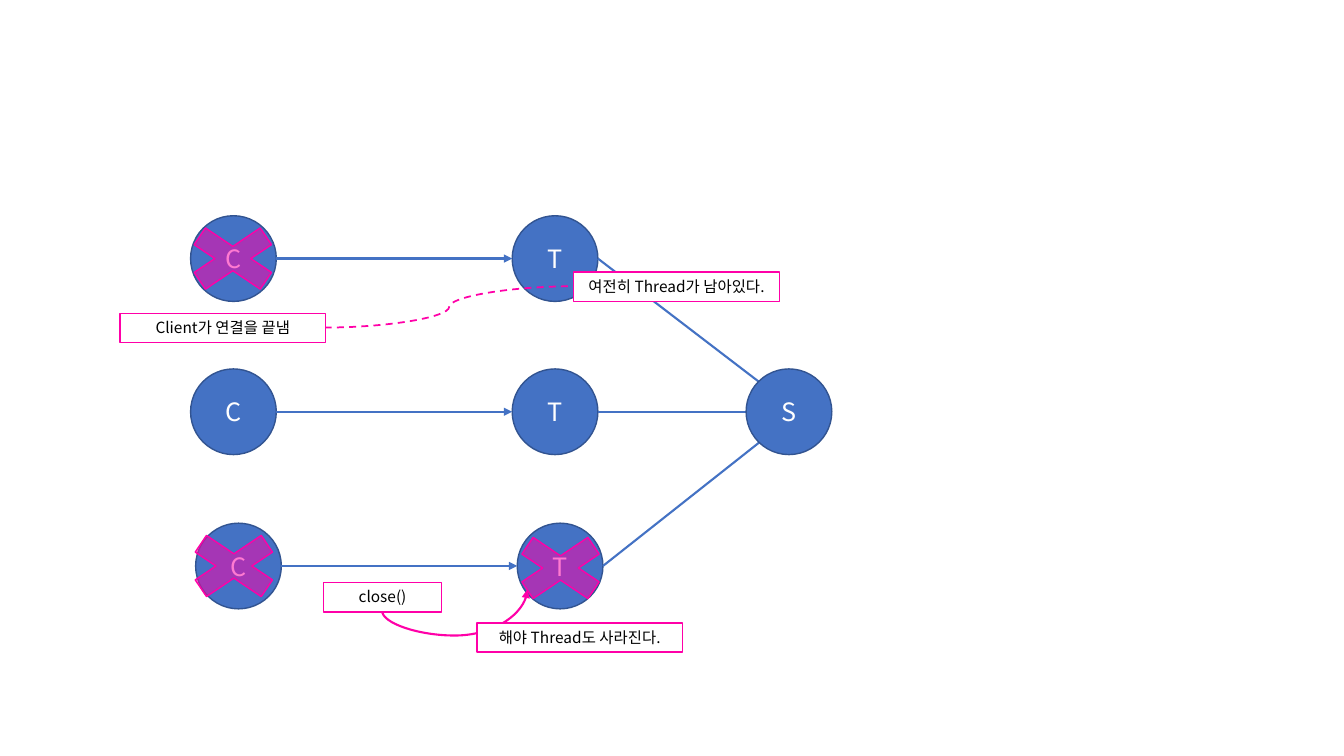
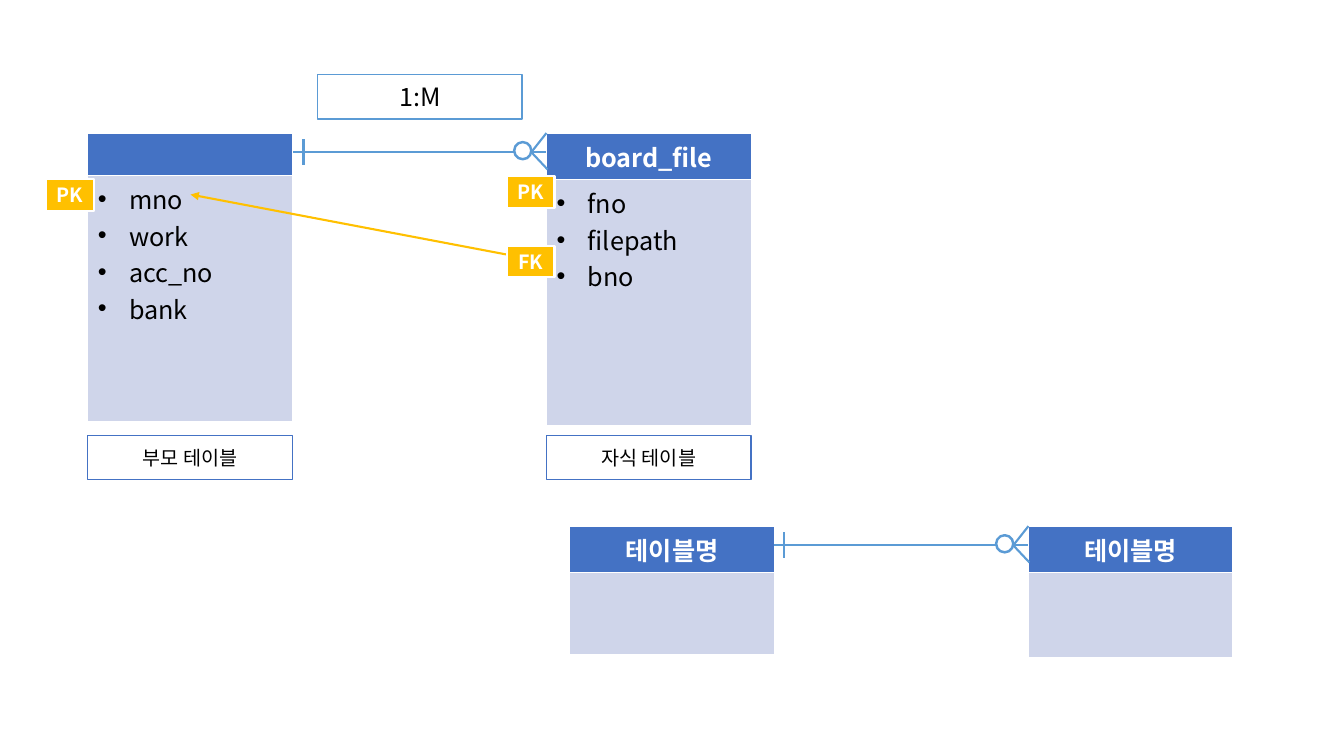
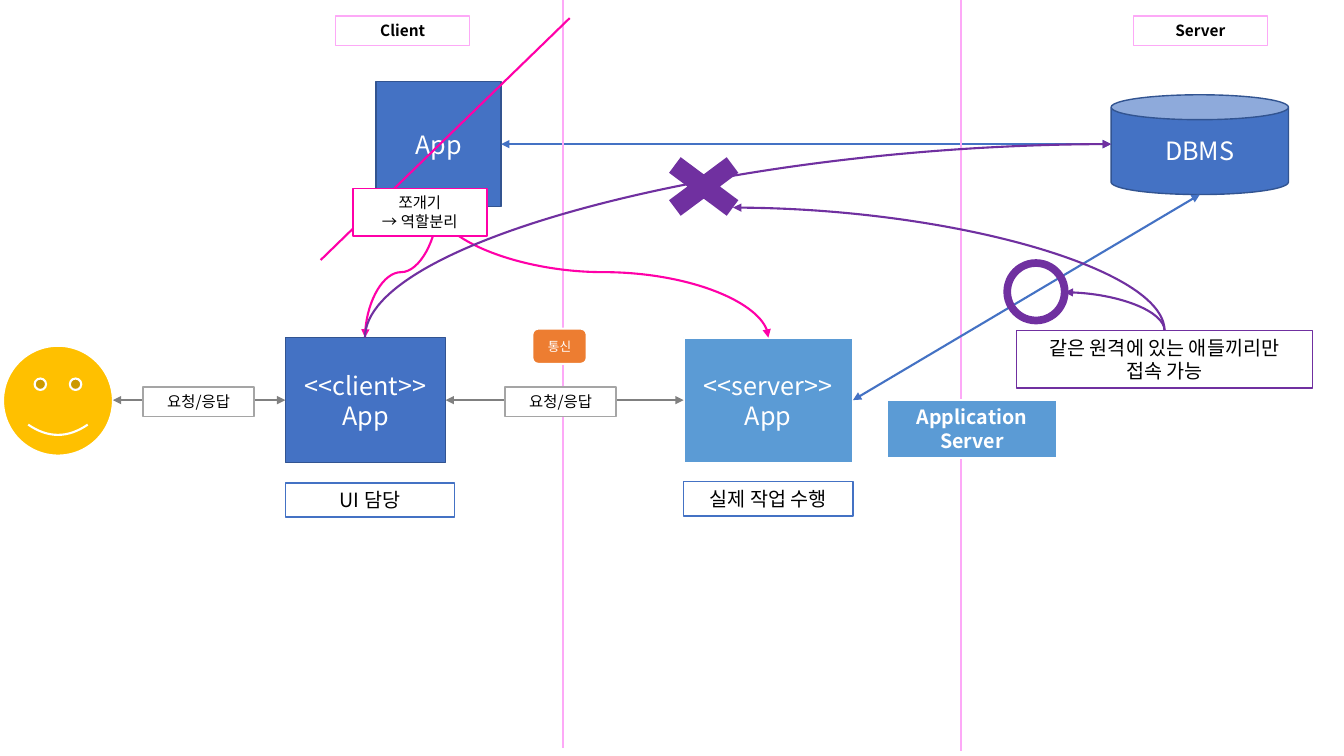
from dataclasses import dataclass
from math import copysign
from typing import Optional

from lxml.etree import SubElement
from pptx import Presentation
from pptx.dml.color import RGBColor
from pptx.enum.dml import MSO_LINE
from pptx.enum.shapes import MSO_CONNECTOR, MSO_SHAPE
from pptx.enum.text import MSO_ANCHOR, MSO_AUTO_SIZE, PP_ALIGN
from pptx.oxml.ns import qn
from pptx.util import Inches, Pt

FONT = "Noto Sans CJK KR"
WHITE, BLACK = "FFFFFF", "000000"
BLUE, DARK_BLUE, SKY, PALE = "4472C4", "325491", "5B9BD5", "CFD5EA"
MAGENTA, PINK, PURPLE = "FF00A8", "FDA9F7", "7030A0"
GOLD, ORANGE, GRAY, SILVER = "FFC000", "ED7D31", "808080", "A5A5A5"

Point = tuple[float, float]


@dataclass
class Box:
    left: float
    top: float
    width: float
    height: float
    text: str = ""
    fill: Optional[str] = BLUE
    line: Optional[str] = DARK_BLUE
    line_width: float = 1
    size: float = 18
    colour: str = WHITE
    bold: bool = False
    kind: MSO_SHAPE = MSO_SHAPE.RECTANGLE
    opacity: int = 100


@dataclass
class Label:
    left: float
    top: float
    width: float
    height: float
    text: str
    line: str
    size: float = 11
    bold: bool = False
    fill: str = WHITE
    colour: str = BLACK
    line_width: float = 1


@dataclass
class Entity:
    left: float
    top: float
    header_height: float
    body_height: float
    title: str = ""
    fields: tuple[str, ...] = ()


def rgb(colour: str) -> RGBColor:
    return RGBColor.from_string(colour)


def set_font(paragraph, size: float, colour: str, bold: bool) -> None:
    font = paragraph.font
    font.size, font.bold, font.name = Pt(size), bold, FONT
    font.color.rgb = rgb(colour)
    SubElement(font._rPr, qn("a:ea"), typeface=FONT)


def paint(shape, spec_box) -> None:
    if spec_box.fill:
        shape.fill.solid()
        shape.fill.fore_color.rgb = rgb(spec_box.fill)
    else:
        shape.fill.background()
    if spec_box.line:
        shape.line.color.rgb = rgb(spec_box.line)
        shape.line.width = Pt(spec_box.line_width)
    else:
        shape.line.fill.background()


def write(shape, item) -> None:
    frame = shape.text_frame
    frame.word_wrap = True
    frame.text = item.text
    for paragraph in frame.paragraphs:
        paragraph.alignment = PP_ALIGN.CENTER
        set_font(paragraph, item.size, item.colour, item.bold)


def frame_of(item) -> tuple:
    return tuple(Inches(value) for value in (item.left, item.top, item.width, item.height))


def draw_box(slide, box: Box):
    shape = slide.shapes.add_shape(box.kind, *frame_of(box))
    shape.shadow.inherit = False
    paint(shape, box)
    if box.opacity < 100:
        colour = shape._element.spPr.find(qn("a:solidFill"))[0]
        SubElement(colour, qn("a:alpha"), val=str(box.opacity * 1000))
    if box.text:
        write(shape, box)
        shape.text_frame.vertical_anchor = MSO_ANCHOR.MIDDLE
    return shape


def draw_label(slide, label: Label) -> None:
    shape = slide.shapes.add_textbox(*frame_of(label))
    paint(shape, label)
    write(shape, label)
    shape.text_frame.auto_size = MSO_AUTO_SIZE.SHAPE_TO_FIT_TEXT


def add_line(slide, kind: MSO_CONNECTOR, begin: Point, end: Point, colour: str,
             width: float, head: bool, tail: bool):
    connector = slide.shapes.add_connector(kind, *map(Inches, begin + end))
    connector.line.color.rgb = rgb(colour)
    connector.line.width = Pt(width)
    properties = connector._element.spPr
    for name, wanted in (("a:headEnd", head), ("a:tailEnd", tail)):
        if wanted:
            SubElement(properties.find(qn("a:ln")), qn(name), type="triangle")
    SubElement(properties, qn("a:effectLst"))
    return connector


def draw_line(slide, begin: Point, end: Point, colour: str, head: bool = False,
              tail: bool = False, begin_shape=None, end_shape=None) -> None:
    connector = add_line(slide, MSO_CONNECTOR.STRAIGHT, begin, end, colour, 1.5, head, tail)
    if begin_shape is not None:
        connector.begin_connect(begin_shape, 3)
    if end_shape is not None:
        connector.end_connect(end_shape, 1)


def draw_upright_curve(slide, begin: Point, end: Point, colour: str,
                       bends: int = 3, bend_at: float = 0.5) -> None:
    across, down = end[0] - begin[0], end[1] - begin[1]
    middle_x, middle_y = (begin[0] + end[0]) / 2, (begin[1] + end[1]) / 2
    reach_x, reach_y = copysign(down / 2, across), copysign(across / 2, down)
    connector = add_line(slide, MSO_CONNECTOR.CURVE,
                         (middle_x + reach_x, middle_y - reach_y),
                         (middle_x - reach_x, middle_y + reach_y),
                         colour, 1.5, False, True)
    properties = connector._element.spPr
    angle = 90 if across * down < 0 else 270
    properties.find(qn("a:xfrm")).set("rot", str(angle * 60000))
    geometry = properties.find(qn("a:prstGeom"))
    geometry.set("prst", f"curvedConnector{bends}")
    if bends == 3:
        SubElement(geometry.find(qn("a:avLst")), qn("a:gd"), name="adj1",
                   fmla=f"val {round(bend_at * 100000)}")


def draw_entity(slide, entity: Entity) -> None:
    heights = entity.header_height, entity.body_height
    table = slide.shapes.add_table(2, 1, Inches(entity.left), Inches(entity.top),
                                   Inches(2.03), Inches(sum(heights))).table
    for row, height, fill in zip(table.rows, heights, (BLUE, PALE)):
        row.height = Inches(height)
        row.cells[0].fill.solid()
        row.cells[0].fill.fore_color.rgb = rgb(fill)
    if entity.title:
        header = table.cell(0, 0).text_frame
        header.text = entity.title
        header.paragraphs[0].alignment = PP_ALIGN.CENTER
        set_font(header.paragraphs[0], 18, WHITE, True)
    if entity.fields:
        body = table.cell(1, 0).text_frame
        body.text = "\n".join(entity.fields)
        for paragraph in body.paragraphs:
            properties = paragraph._p.get_or_add_pPr()
            properties.set("marL", str(Inches(0.31)))
            properties.set("indent", str(Inches(-0.31)))
            SubElement(properties, qn("a:buFont"), typeface="Arial")
            SubElement(properties, qn("a:buChar"), char="•")
            set_font(paragraph, 18, BLACK, False)


def draw_relation(slide, left: float, right: float, y: float) -> None:
    fork = right - 0.15
    for begin, end in (
        ((left, y), (right, y)),
        ((left + 0.1, y - 0.13), (left + 0.1, y + 0.13)),
        ((right, y - 0.19), (fork, y)),
        ((fork, y), (right + 0.01, y + 0.17)),
    ):
        draw_line(slide, begin, end, SKY)
    draw_box(slide, Box(right - 0.32, y - 0.1, 0.17, 0.17, "", WHITE, SKY, 1.75,
                        kind=MSO_SHAPE.OVAL))


def build_threads(slide) -> None:
    size, radius = 0.85, 0.425
    server_left, server_top = 7.4, 3.66
    rows = ((1.89, 2.14, 3.79), (1.89, 3.66, None), (1.94, 5.19, 4.39))
    for left, top, server_y in rows:
        y = top + radius
        thread_left = left + 3.19
        for circle_left, letter in ((left, "C"), (thread_left, "T")):
            draw_box(slide, Box(circle_left, top, size, size, letter, kind=MSO_SHAPE.OVAL))
        draw_line(slide, (left + size, y), (thread_left, y), BLUE, tail=True)
        target = (7.53, server_y) if server_y else (server_left, y)
        draw_line(slide, (thread_left + size, y), target, BLUE)
    draw_box(slide, Box(server_left, server_top, size, size, "S", kind=MSO_SHAPE.OVAL))

    for left, top in ((1.68, 2.14), (1.69, 5.19), (4.93, 5.21)):
        draw_box(slide, Box(left, top, 1.26, size, "", MAGENTA, MAGENTA,
                            kind=MSO_SHAPE.MATH_MULTIPLY, opacity=52))
    dashed = add_line(slide, MSO_CONNECTOR.CURVE, (3.22, 3.25), (5.69, 2.84),
                      MAGENTA, 1.25, False, False)
    dashed.line.dash_style = MSO_LINE.DASH
    draw_upright_curve(slide, (3.79, 6.06), (5.23, 5.85), MAGENTA, bend_at=-1.17)
    for left, top, width, text in (
        (1.19, 3.11, 2.04, "Client가 연결을 끝냄"),
        (5.69, 2.7, 2.04, "여전히 Thread가 남아있다."),
        (3.21, 5.78, 1.17, "close()"),
        (4.73, 6.18, 2.04, "해야 Thread도 사라진다."),
    ):
        draw_label(slide, Label(left, top, width, 0.29, text, MAGENTA))


def build_tables(slide) -> None:
    for entity in (
        Entity(0.87, 1.32, 0.42, 2.44, "", ("mno", "work", "acc_no", "bank")),
        Entity(5.42, 1.32, 0.42, 2.44, "board_file", ("fno", "filepath", "bno")),
        Entity(5.65, 5.22, 0.4, 0.81, "테이블명"),
        Entity(10.2, 5.22, 0.4, 0.84, "테이블명"),
    ):
        draw_entity(slide, entity)
    draw_line(slide, (5.42, 2.6), (1.89, 1.93), GOLD, tail=True)
    for left, top, text, line, text_size in (
        (0.87, 4.32, "부모 테이블", BLUE, 14),
        (5.42, 4.32, "자식 테이블", BLUE, 14),
        (3.15, 0.74, "1:M", SKY, 18),
    ):
        draw_box(slide, Box(left, top, 2.03, 0.44, text, WHITE, line,
                            size=text_size, colour=BLACK))
    for left, top, key in ((0.46, 1.78, "PK"), (5.03, 1.75, "PK"), (5.03, 2.44, "FK")):
        draw_box(slide, Box(left, top, 0.47, 0.31, key, GOLD, WHITE, 1.5, 14, bold=True))
    draw_relation(slide, 2.91, 5.42, 1.51)
    draw_relation(slide, 7.68, 10.2, 5.41)


def build_architecture(slide) -> None:
    app = draw_box(slide, Box(3.73, 0.81, 1.24, 1.24, "App"))
    draw_box(slide, Box(11.02, 0.94, 1.76, 0.99, "DBMS", kind=MSO_SHAPE.CAN))
    draw_line(slide, (4.97, 1.43), (11.02, 1.43), BLUE, True, True, begin_shape=app)
    for x, bottom in ((5.58, 7.42), (9.53, 7.45)):
        draw_line(slide, (x, 0), (x, bottom), PINK)
    for left, side in ((3.33, "Client"), (11.24, "Server")):
        draw_label(slide, Label(left, 0.16, 1.33, 0.29, side, PINK, bold=True))

    client = draw_box(slide, Box(2.83, 3.35, 1.59, 1.24, "<<client>>\nApp"))
    server = draw_box(slide, Box(6.78, 3.35, 1.68, 1.24, "<<server>>\nApp", SKY, WHITE, 1.5))
    draw_box(slide, Box(0.03, 3.43, 1.09, 1.09, "", GOLD, WHITE, 1.5,
                        kind=MSO_SHAPE.SMILEY_FACE))
    draw_line(slide, (1.12, 3.97), (2.83, 3.97), GRAY, True, True, end_shape=client)
    draw_line(slide, (4.42, 3.97), (6.78, 3.97), GRAY, True, True, client, server)
    draw_box(slide, Box(5.28, 3.26, 0.54, 0.35, "통신", ORANGE, WHITE, 1.5, 9,
                        kind=MSO_SHAPE.ROUNDED_RECTANGLE))
    for left in (1.42, 5.01):
        draw_label(slide, Label(left, 3.84, 1.1, 0.29, "요청/응답", SILVER))
    draw_line(slide, (8.46, 3.97), (11.9, 1.93), BLUE, True, True, begin_shape=server)

    for x in (3.62, 7.62):
        draw_upright_curve(slide, (4.34, 2.05), (x, 3.35), MAGENTA)
    draw_line(slide, (3.18, 2.58), (5.65, 0.18), MAGENTA)
    for label in (
        Label(3.5, 1.87, 1.33, 0.47, "쪼개기\n→ 역할분리", MAGENTA),
        Label(6.78, 4.78, 1.68, 0.34, "실제 작업 수행", BLUE, 14),
        Label(2.83, 4.79, 1.68, 0.34, "UI 담당", BLUE, 14),
        Label(8.8, 3.97, 1.68, 0.57, "Application Server", WHITE, 14, True, SKY, WHITE, 1.5),
    ):
        draw_label(slide, label)

    draw_box(slide, Box(9.99, 2.61, 0.57, 0.57, "", None, PURPLE, 5.5, kind=MSO_SHAPE.OVAL))
    draw_box(slide, Box(6.43, 1.44, 1.1, 0.82, "", PURPLE, None,
                        kind=MSO_SHAPE.MATH_MULTIPLY))
    draw_label(slide, Label(10.08, 3.28, 2.94, 0.57,
                            "같은 원격에 있는 애들끼리만\n접속 가능", PURPLE, 14))
    for begin, end in (
        ((3.62, 3.35), (11.02, 1.43)),
        ((11.55, 3.28), (7.27, 2.06)),
        ((11.55, 3.28), (10.56, 2.9)),
    ):
        draw_upright_curve(slide, begin, end, PURPLE, bends=2)


def main() -> None:
    presentation = Presentation()
    presentation.slide_width, presentation.slide_height = Inches(13.33), Inches(7.5)
    for build in (build_threads, build_tables, build_architecture):
        build(presentation.slides.add_slide(presentation.slide_layouts[6]))
    presentation.save("out.pptx")


if __name__ == "__main__":
    main()
